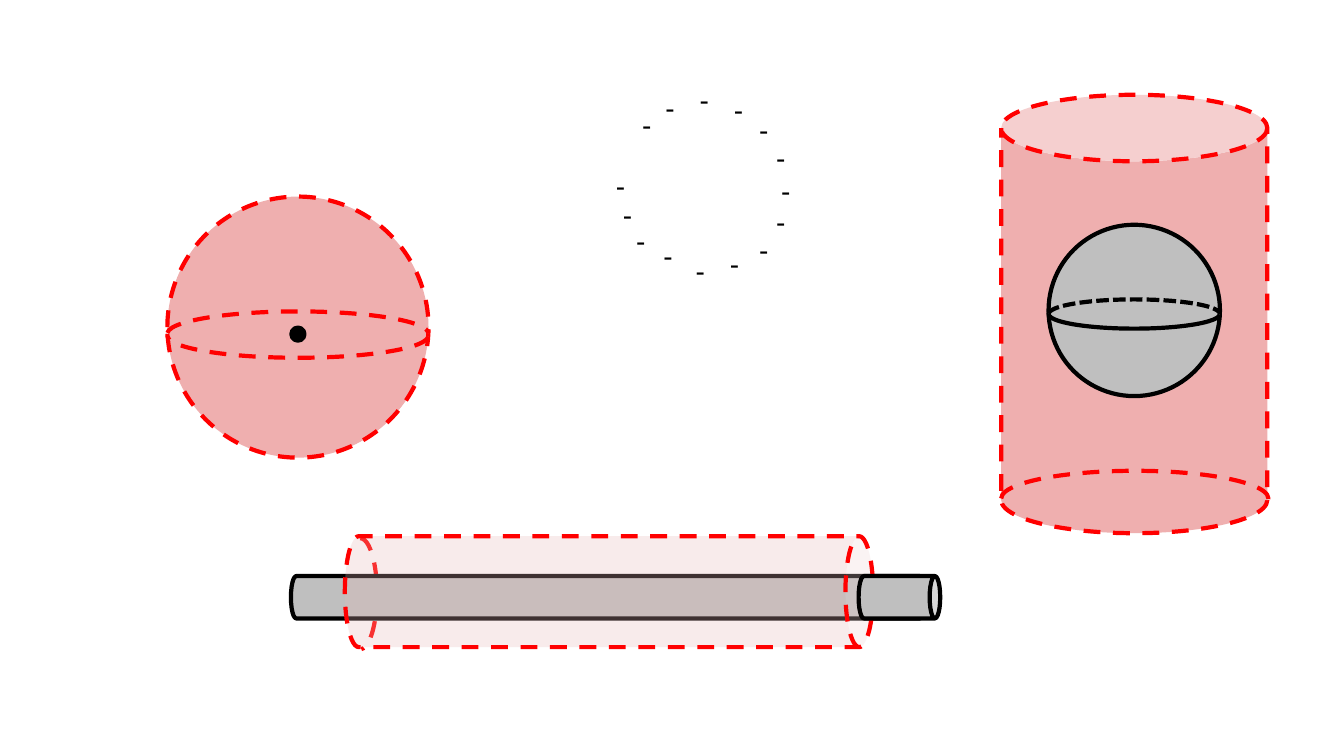
"""Build a slide of charged bodies wrapped in dashed Gaussian surfaces."""
from lxml.etree import SubElement
from pptx import Presentation
from pptx.dml.color import RGBColor
from pptx.enum.dml import MSO_LINE
from pptx.enum.shapes import MSO_SHAPE
from pptx.enum.text import MSO_AUTO_SIZE
from pptx.oxml.ns import qn
from pptx.util import Pt

PX = 9144
SLIDE_SIZE = (1333, 750)
COLOURS = {
    "surface": "EFAFAF", "sleeve": "E7B8B7", "body": "BFBFBF",
    "red": "FF0000", "black": "000000",
}
DASHES = {"dash": MSO_LINE.DASH, "short": MSO_LINE.SQUARE_DOT}
KINDS = {"ball": MSO_SHAPE.OVAL, "can": MSO_SHAPE.CAN, "arc": MSO_SHAPE.ARC}
ARC_UNITS_PER_DEGREE = 0.6
FRONT, BACK = (0.5, 180.7), (180.3, 359.9)
RIM, ROD_RIM = (270, 90.7), (270, 89)

SURFACE = ("surface", "red", "dash")
BODY = ("body", "black", None)
POINT_CHARGE = [
    ("ball", (166, 195, 259, 259), SURFACE, {}),
    ("arc", (166, 311, 259, 44), SURFACE, {"sweep": FRONT}),
    ("arc", (166, 309, 259, 44), SURFACE, {"sweep": BACK}),
    ("ball", (289, 325, 13, 13), ("black", "black", None), {}),
]
BALL_IN_CYLINDER = [
    ("can", (993, 94, 264, 435), SURFACE, {}),
    ("arc", (1098, 362, 55, 265), SURFACE, {"sweep": RIM, "turn": 270}),
    ("ball", (1040, 223, 170, 170), BODY, {}),
    ("arc", (1040, 297, 170, 29), BODY, {"sweep": FRONT}),
    ("arc", (1040, 297, 170, 29), ("body", "black", "short"), {"sweep": BACK}),
]
ROD_IN_SLEEVE = [
    ("arc", (341, 534, 33, 110), (None, "red", "dash"), {"sweep": ROD_RIM}),
    ("can", (582, 278, 42, 629), BODY, {"turn": 90}),
    ("can", (549, 325, 110, 524), ("sleeve", "red", "dash"), {"turn": 90, "opacity": 27}),
    ("can", (871, 552, 42, 81), BODY, {"turn": 90}),
]
MINUS_SIZE = (29, 44)
MINUS_SPOTS = [
    (627, 102), (601, 162), (765, 167), (621, 217), (684, 77),
    (743, 107), (680, 247), (743, 226), (648, 232), (714, 240),
    (760, 198), (760, 134), (718, 87), (650, 85), (608, 191),
]


def colour(name):
    return RGBColor.from_string(COLOURS[name])


def emu(lengths):
    return [length * PX for length in lengths]


def draw_shape(group, kind, frame, style, sweep=None, turn=0, opacity=None):
    fill, line, dash = style
    shape = group.shapes.add_shape(KINDS[kind], *emu(frame))
    shape.shadow.inherit = False
    shape.rotation = turn
    if sweep:
        for index, degrees in enumerate(sweep):
            shape.adjustments[index] = degrees * ARC_UNITS_PER_DEGREE
    if fill:
        shape.fill.solid()
        shape.fill.fore_color.rgb = colour(fill)
    else:
        shape.fill.background()
    if opacity:
        tint = shape._element.spPr.find(qn("a:solidFill"))[0]
        SubElement(tint, qn("a:alpha"), val=str(opacity * 1000))
    shape.line.color.rgb = colour(line)
    shape.line.width = Pt(3)
    if dash:
        shape.line.dash_style = DASHES[dash]


def draw_minus(group, spot):
    box = group.shapes.add_textbox(*emu(spot + MINUS_SIZE))
    box.text_frame.word_wrap = False
    box.text_frame.auto_size = MSO_AUTO_SIZE.SHAPE_TO_FIT_TEXT
    span = box.text_frame.paragraphs[0].add_run()
    span.text = "-"
    span.font.name = "Arial"
    span.font.size = Pt(20)
    span.font.color.rgb = colour("black")


def main():
    deck = Presentation()
    deck.slide_width, deck.slide_height = emu(SLIDE_SIZE)
    page = deck.slides.add_slide(deck.slide_layouts[6])
    for figure in (POINT_CHARGE, BALL_IN_CYLINDER, ROD_IN_SLEEVE):
        group = page.shapes.add_group_shape()
        for kind, frame, style, options in figure:
            draw_shape(group, kind, frame, style, **options)
    minus_ring = page.shapes.add_group_shape()
    for spot in MINUS_SPOTS:
        draw_minus(minus_ring, spot)
    deck.save("out.pptx")


if __name__ == "__main__":
    main()
